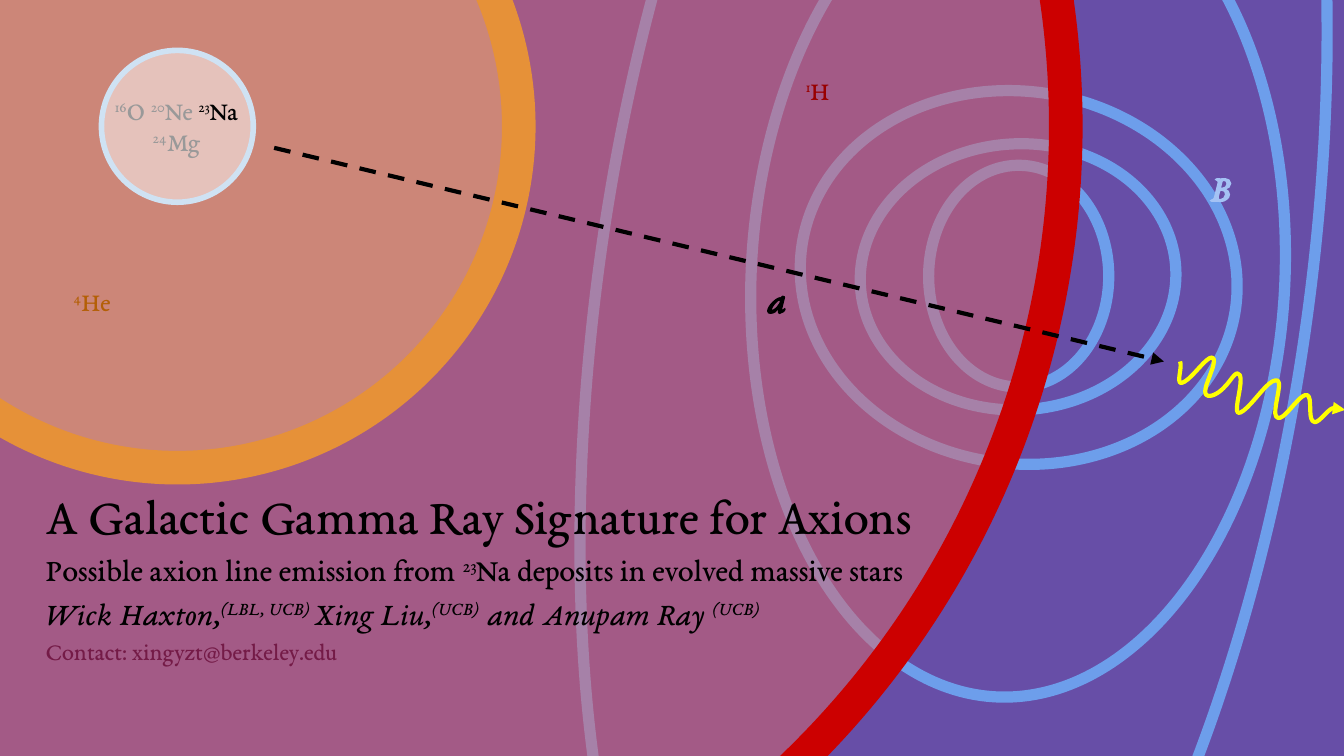
from lxml.etree import SubElement
from pptx import Presentation
from pptx.dml.color import RGBColor
from pptx.enum.dml import MSO_LINE
from pptx.enum.shapes import MSO_CONNECTOR, MSO_SHAPE
from pptx.enum.text import MSO_ANCHOR, MSO_AUTO_SIZE, PP_ALIGN
from pptx.oxml.ns import qn
from pptx.util import Inches, Pt

COLORS = {
    "space": "674EA7", "field": "6D9EEB", "field_label": "A4C2F4",
    "hydrogen": "E06666", "hydrogen_rim": "CC0000", "hydrogen_label": "990000",
    "helium": "F6B26B", "helium_rim": "E69138", "helium_label": "B45F06",
    "core": "FFFFFF", "core_rim": "CFE2F3", "faded": "999999",
    "ink": "000000", "contact": "741B47", "gamma": "FFFF00",
}
COLUMNS, ROWS = 100, 56.25  # square cells


class StarSlide:
    font = "EB Garamond"

    def __init__(self, deck):
        self.cell = deck.slide_width / COLUMNS
        self.slide = deck.slides.add_slide(deck.slide_layouts[6])
        fill = self.slide.background.fill
        fill.solid()
        fill.fore_color.rgb = self.color("space")

    def color(self, name):
        return RGBColor.from_string(COLORS[name])

    def cells(self, *lengths):
        return [round(length * self.cell) for length in lengths]

    def stroke(self, line, color, width, dash=None, arrow=False):
        line.color.rgb = self.color(color)
        line.width = Pt(width)
        if dash:
            line.dash_style = dash
        if arrow:
            SubElement(line._get_or_add_ln(), qn("a:tailEnd"), type="triangle")

    def ellipse(self, left, top, width, height, rim, weight, fill=None, turn=0):
        oval = self.slide.shapes.add_shape(
            MSO_SHAPE.OVAL, *self.cells(left, top, width, height))
        oval.shadow.inherit = False
        oval.rotation = turn
        self.stroke(oval.line, rim, weight)
        if fill is None:
            oval.fill.background()
            return
        oval.fill.solid()
        oval.fill.fore_color.rgb = self.color(fill)
        tint = oval._element.spPr.find(qn("a:solidFill"))[0]
        SubElement(tint, qn("a:alpha"), val="50000")

    def layer(self, center, radius, fill, rim, weight):
        x, y = center
        self.ellipse(x - radius, y - radius, 2 * radius, 2 * radius, rim, weight, fill)

    def arrow(self, start, end, color):
        ray = self.slide.shapes.add_connector(
            MSO_CONNECTOR.STRAIGHT, *self.cells(*start, *end))
        self.stroke(ray.line, color, 2.25, MSO_LINE.DASH, arrow=True)
        SubElement(ray._element.spPr, qn("a:effectLst"))

    def wave(self, start, curves, color, steps=10):
        """Trace a chain of cubic curves as one fine open line."""
        points, here = [], start
        for first, second, end in curves:
            for step in range(1, steps + 1):
                t = step / steps
                weights = (1 - t) ** 3, 3 * t * (1 - t) ** 2, 3 * t * t * (1 - t), t ** 3
                knots = here, first, second, end
                points.append(self.cells(*(
                    sum(w * knot[axis] for w, knot in zip(weights, knots))
                    for axis in (0, 1))))
            here = end
        builder = self.slide.shapes.build_freeform(*self.cells(*start))
        builder.add_line_segments(points, close=False)
        squiggle = builder.convert_to_shape()
        squiggle.shadow.inherit = False
        squiggle.fill.background()
        self.stroke(squiggle.line, color, 2.25, arrow=True)

    def text_box(self, left, top, width, height, side_inset=0.1):
        box = self.slide.shapes.add_textbox(*self.cells(left, top, width, height))
        frame = box.text_frame
        frame.word_wrap = True
        frame.margin_left = frame.margin_right = Inches(side_inset)
        frame.margin_top = frame.margin_bottom = Inches(0.1)
        return frame

    def add_text(self, paragraph, text, size, color, bold=False, italic=False):
        """Add runs; every second part between ^ marks is raised."""
        for index, part in enumerate(text.split("^")):
            if not part:
                continue
            run = paragraph.add_run()
            run.text = part
            font = run.font
            font.name, font.size = self.font, Pt(size)
            font.bold, font.italic = bold, italic
            font.color.rgb = self.color(color)
            if index % 2:
                run._r.get_or_add_rPr().set("baseline", "30000")

    def label(self, left, top, height, pieces, size=14, align=PP_ALIGN.CENTER, strong=False):
        frame = self.text_box(left, top, 11.3, height)
        frame.auto_size = MSO_AUTO_SIZE.SHAPE_TO_FIT_TEXT
        paragraph = frame.paragraphs[0]
        paragraph.alignment = align
        for text, color in pieces:
            self.add_text(paragraph, text, size, color, strong, strong)

    def title_block(self, left, top, width, height, lines):
        frame = self.text_box(left, top, width, height, side_inset=0)
        frame.vertical_anchor = MSO_ANCHOR.BOTTOM
        for index, (text, size, color, italic) in enumerate(lines):
            paragraph = frame.add_paragraph() if index else frame.paragraphs[0]
            paragraph.line_spacing = 1.15
            self.add_text(paragraph, text, size, color, italic=italic)


def main():
    deck = Presentation()
    deck.slide_width, deck.slide_height = Inches(10), Inches(10 * ROWS / COLUMNS)
    star = StarSlide(deck)

    # Magnetic field lines, innermost first
    for left, top, width, height, turn in (
            (69.1, 12.3, 13.4, 16.5, 0),
            (64, 10.7, 23.5, 19.8, 356.7),
            (59.5, 6.8, 32.6, 27.7, 8.4),
            (55.9, -10.8, 39.7, 62.7, 3.1),
            (44.6, -44.6, 52.7, 132.1, 8.4)):
        star.ellipse(left, top, width, height, "field", 6, turn=turn)

    # Concentric star layers, with the title over the envelope
    center = (13.2, 9.4)
    star.layer(center, 66.1, "hydrogen", "hydrogen_rim", 18)
    star.layer(center, 25.4, "helium", "helium_rim", 18)
    star.title_block(3.4, 28.1, 93.2, 22.4, (
        ("A Galactic Gamma Ray Signature for Axions", 27, "ink", False),
        ("Possible axion line emission from ^23^Na deposits in evolved massive stars",
         17, "ink", False),
        ("Wick Haxton,^(LBL, UCB) ^Xing Liu,^(UCB)^ and Anupam Ray ^(UCB)",
         17, "ink", True),
        ("Contact: xingyzt@berkeley.edu", 13, "contact", False)))
    star.layer(center, 5.65, "core", "core_rim", 3)

    # Isotopes in each layer
    star.label(7.5, 6, 6.7, (("^16^O ^20^Ne ", "faded"), ("^23^Na ", "ink"),
                             ("^24^Mg", "faded")))
    star.label(1.2, 20.2, 4.3, [("^4^He", "helium_label")])
    star.label(55.2, 4.5, 4.3, [("^1^H", "hydrogen_label")])

    # Axion leaving the core and turning into a gamma ray
    star.arrow((20.4, 11), (86.6, 26.9), "ink")
    star.wave((87.8, 26.9), (
        ((88, 27.3), (87.5, 28.5), (87.9, 28.5)),
        ((88.6, 28.4), (90, 26.1), (90.3, 26.7)),
        ((90.5, 27.2), (89.5, 28.8), (89.7, 29.3)),
        ((89.9, 29.7), (90.7, 29.3), (91.2, 28.7)),
        ((91.5, 28.4), (91.9, 27.7), (92.1, 27.8)),
        ((92.8, 27.9), (91.5, 31.1), (92.3, 30.7)),
        ((93.1, 30.3), (94.2, 28.4), (94.9, 28.3)),
        ((95.7, 28.1), (94.4, 31), (95.1, 31.1)),
        ((95.6, 31.2), (96.5, 29.6), (97.1, 29.4)),
        ((97.8, 29.2), (97.2, 31.3), (97.8, 31.4)),
        ((98.1, 31.5), (98.7, 30.6), (99.1, 30.4)),
        ((99.5, 30.3), (99.8, 30.3), (100.1, 30.5))), "gamma")

    # Symbols for the field, the gamma ray and the axion
    for left, top, symbol, color, align in (
            (85.2, 11.2, "B", "field_label", PP_ALIGN.CENTER),
            (90.2, 29.5, "γ", "gamma", PP_ALIGN.LEFT),
            (56.1, 19.5, "a", "ink", PP_ALIGN.LEFT)):
        star.label(left, top, 5.3, [(symbol, color)], 20, align, strong=True)

    deck.save("out.pptx")


if __name__ == "__main__":
    main()
